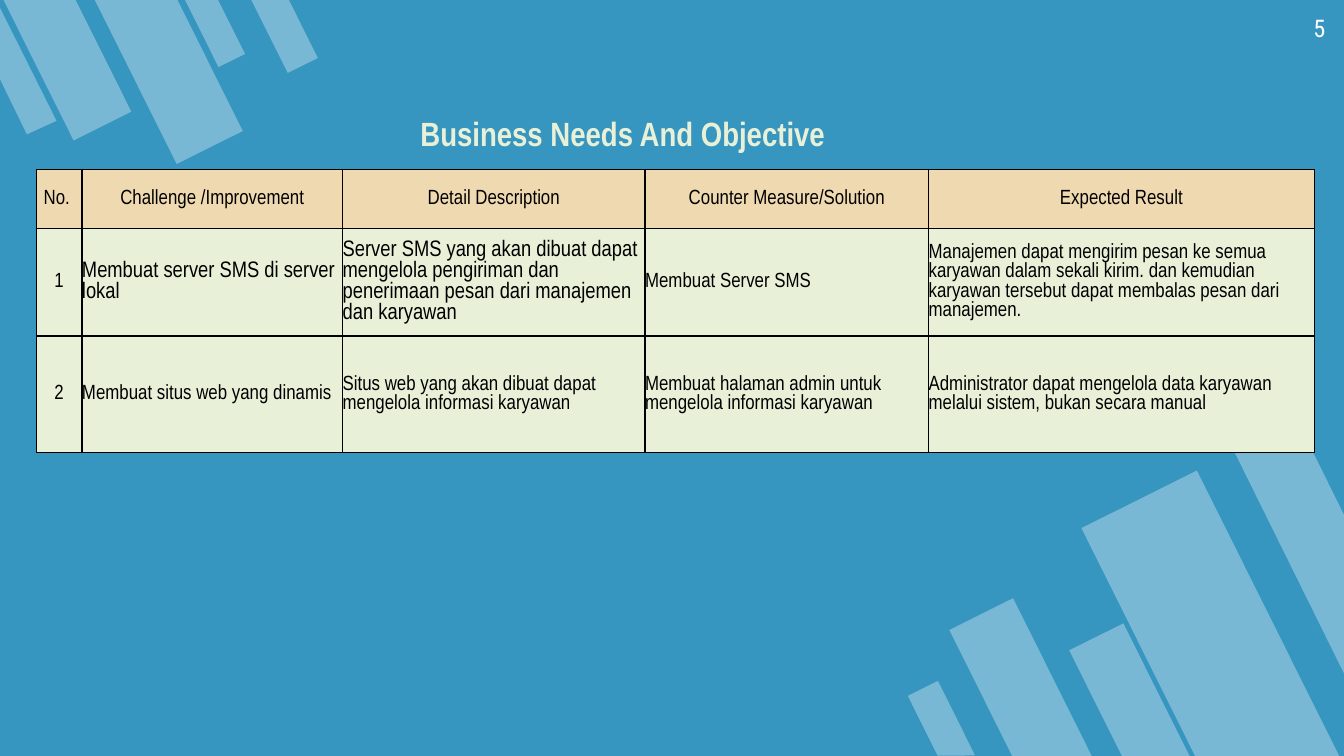
from dataclasses import dataclass

from lxml.etree import SubElement
from pptx import Presentation
from pptx.dml.color import RGBColor
from pptx.enum.shapes import MSO_SHAPE as Shape
from pptx.enum.text import MSO_ANCHOR as Anchor, PP_ALIGN as Align
from pptx.oxml.ns import qn
from pptx.util import Inches, Pt


@dataclass(frozen=True)
class Theme:
    background: str = "3796BF"
    white: str = "FFFFFF"
    black: str = "000000"
    header: str = "EFD9B0"
    pale: str = "E8F0D8"
    body_font: str = "Arial Narrow"
    number_font: str = "Roboto Condensed"
    title_size: float = 18
    number_size: float = 13
    large_size: float = 12
    body_size: float = 11
    border: float = 0.75
    bar_opacity: int = 33


@dataclass(frozen=True)
class Bar:
    left: float
    top: float
    width: float
    height: float


@dataclass(frozen=True)
class Corner:
    rotation: float
    bars: tuple[Bar, ...]
    cut_bar: tuple[tuple[float, float], ...]


THEME = Theme()

CORNERS = (
    Corner(153.5,
           (Bar(7.33, 4.5, 0.53, 1.32), Bar(8.53, 3.59, 0.96, 2.39),
            Bar(8.18, 4.68, 0.45, 1.11), Bar(6.88, 5.09, 0.25, 0.62)),
           ((9.54, 2.9), (9.07, 3.13), (10, 5.01), (10, 3.83))),
    Corner(333.5,
           (Bar(1.49, -0.08, 0.22, 0.56), Bar(0.26, -0.18, 0.48, 1.18),
            Bar(0.98, -0.2, 0.55, 1.37), Bar(1.99, -0.1, 0.25, 0.62)),
           ((0.2, 1), (0.42, 0.9), (0, 0.06), (0, 0.59))),
)

COLUMN_WIDTHS = (0.34, 1.94, 2.25, 2.11, 2.87)
ROW_HEIGHTS = (0.44, 0.74, 0.87)
ROWS = (
    ("No. ", "Challenge /Improvement", "Detail Description",
     "Counter Measure/Solution", "Expected Result"),
    ("1", "Membuat server SMS di server lokal",
     "Server SMS yang akan dibuat dapat mengelola pengiriman dan penerimaan "
     "pesan dari manajemen dan karyawan",
     "Membuat Server SMS",
     "Manajemen dapat mengirim pesan ke semua karyawan dalam sekali kirim. "
     "dan kemudian karyawan tersebut dapat membalas pesan dari manajemen."),
    ("2", "Membuat situs web yang dinamis",
     "Situs web yang akan dibuat dapat mengelola informasi karyawan",
     "Membuat halaman admin untuk mengelola informasi karyawan",
     "Administrator dapat mengelola data karyawan melalui sistem, "
     "bukan secara manual"),
)
LARGE_CELLS = {(1, 1), (1, 2)}


def set_fill(target, color: str) -> None:
    target.fill.solid()
    target.fill.fore_color.rgb = RGBColor.from_string(color)


def write(frame, text: str, size: float, font: str, color: str,
          align: Align = Align.LEFT, bold: bool = False) -> None:
    frame.text = text
    para = frame.paragraphs[0]
    para.alignment = align
    for span in para.runs:
        span.font.size = Pt(size)
        span.font.name = font
        span.font.bold = bold
        span.font.color.rgb = RGBColor.from_string(color)
    SubElement(para._p, qn("a:endParaRPr"), sz=str(int(size * 100)))


def add_text(page, left: float, top: float, width: float, height: float,
             anchor: Anchor, text: str, *style, **options) -> None:
    box = page.shapes.add_textbox(Inches(left), Inches(top), Inches(width), Inches(height))
    frame = box.text_frame
    frame.word_wrap = True
    frame.vertical_anchor = anchor
    frame.margin_left = frame.margin_right = Inches(0.1)
    frame.margin_top = frame.margin_bottom = Inches(0.1)
    write(frame, text, *style, **options)


def style_bar(shape) -> None:
    shape.shadow.inherit = False
    set_fill(shape, THEME.white)
    shape.line.fill.background()
    color = shape.fill._xPr.find(qn("a:solidFill"))[0]
    SubElement(color, qn("a:alpha"), val=str(THEME.bar_opacity * 1000))


def add_corner(page, corner: Corner) -> None:
    group = page.shapes.add_group_shape()
    for bar in corner.bars:
        shape = group.shapes.add_shape(
            Shape.FLOWCHART_MANUAL_INPUT, Inches(bar.left), Inches(bar.top),
            Inches(bar.width), Inches(bar.height))
        shape.rotation = corner.rotation
        shape._element.spPr.find(qn("a:xfrm")).set("flipH", "1")
        style_bar(shape)
    points = [(Inches(x), Inches(y)) for x, y in corner.cut_bar]
    outline = group.shapes.build_freeform(*points[0])
    outline.add_line_segments(points[1:], close=True)
    style_bar(outline.convert_to_shape())


def add_borders(cell) -> None:
    properties = cell._tc.get_or_add_tcPr()
    for position, side in enumerate(("a:lnL", "a:lnR", "a:lnT", "a:lnB")):
        line = properties.makeelement(qn(side), {"w": str(Pt(THEME.border))})
        properties.insert(position, line)
        fill = SubElement(line, qn("a:solidFill"))
        SubElement(fill, qn("a:srgbClr"), val=THEME.black)


def add_needs_table(page) -> None:
    holder = page.shapes.add_table(
        len(ROWS), len(COLUMN_WIDTHS), Inches(0.27), Inches(1.26),
        Inches(9.5), Inches(2.11))
    table = holder.table
    table.first_row = table.horz_banding = False
    for column, width in zip(table.columns, COLUMN_WIDTHS):
        column.width = Inches(width)
    for row, height in zip(table.rows, ROW_HEIGHTS):
        row.height = Inches(height)
    # Row and column changes resize the frame, so its size is set last
    holder.width, holder.height = Inches(9.5), Inches(2.11)
    for r, texts in enumerate(ROWS):
        for c, text in enumerate(texts):
            cell = table.cell(r, c)
            cell.margin_left = cell.margin_right = 0
            cell.margin_top = cell.margin_bottom = 0
            cell.vertical_anchor = Anchor.MIDDLE
            set_fill(cell, THEME.header if r == 0 else THEME.pale)
            add_borders(cell)
            size = THEME.large_size if (r, c) in LARGE_CELLS else THEME.body_size
            align = Align.CENTER if r == 0 or c == 0 else Align.LEFT
            write(cell.text_frame, text, size, THEME.body_font, THEME.black, align)


def main() -> None:
    deck = Presentation()
    deck.slide_width = Inches(10)
    deck.slide_height = Inches(10) * 9 // 16
    page = deck.slides.add_slide(deck.slide_layouts[6])
    set_fill(page.background, THEME.background)

    # Slanted bars in the two corners
    for corner in CORNERS:
        add_corner(page, corner)

    # Page number, table and title
    add_text(page, 9.36, 0, 0.6, 0.43, Anchor.TOP, "5", THEME.number_size,
             THEME.number_font, THEME.white, align=Align.RIGHT)
    add_needs_table(page)
    add_text(page, 3.03, 0.75, 3.39, 0.49, Anchor.BOTTOM, "Business Needs And Objective",
             THEME.title_size, THEME.body_font, THEME.pale, bold=True)

    deck.save("out.pptx")


if __name__ == "__main__":
    main()
